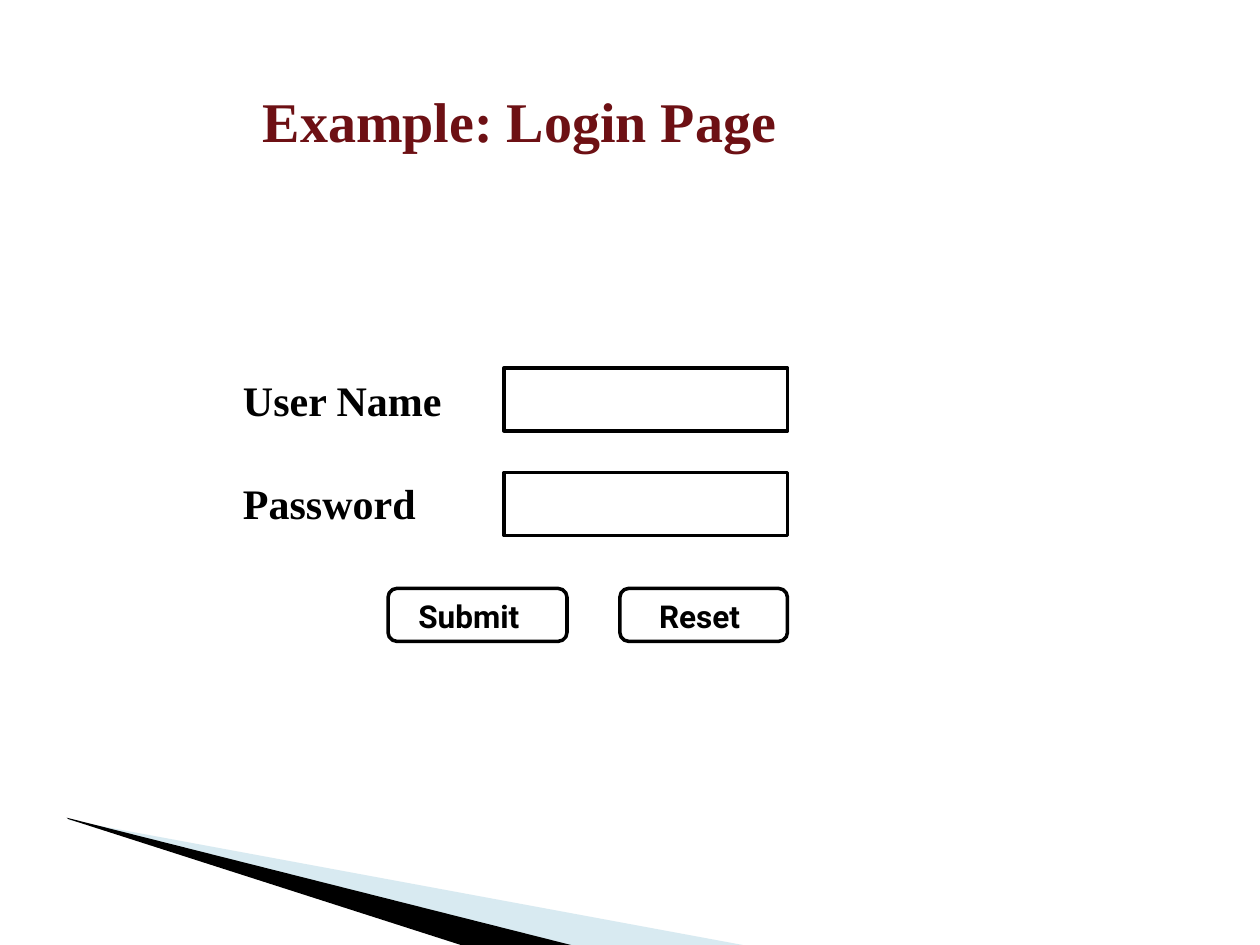
from pptx import Presentation
from pptx.dml.color import RGBColor
from pptx.enum.shapes import MSO_SHAPE as Shape
from pptx.enum.text import MSO_ANCHOR as Anchor, PP_ALIGN as Align
from pptx.oxml.ns import qn
from pptx.util import Inches, Pt
from lxml.etree import SubElement

BLACK = RGBColor(0x00, 0x00, 0x00)
WHITE = RGBColor(0xFF, 0xFF, 0xFF)
MAROON = RGBColor(0x6D, 0x10, 0x14)
PALE = RGBColor(0x9F, 0xCB, 0xDC)
SERIF = "Times New Roman"

deck = Presentation()
deck.slide_width, deck.slide_height = Inches(10), Inches(7.5)
slide = deck.slides.add_slide(deck.slide_layouts[6])
shapes = slide.shapes


def put_text(shape, text, font, size, color, inset=0.1, anchor=Anchor.MIDDLE, align=Align.LEFT):
    frame = shape.text_frame
    frame.word_wrap = True
    frame.vertical_anchor = anchor
    frame.margin_left = Inches(inset)
    para = frame.paragraphs[0]
    para.text = text
    para.alignment = align
    para.font.name = font
    para.font.size = Pt(size)
    para.font.bold = True
    para.font.color.rgb = color


def add_box(kind, left, top, width, height):
    box = shapes.add_shape(kind, Inches(left), Inches(top), Inches(width), Inches(height))
    box.shadow.inherit = False
    box.fill.solid()
    box.fill.fore_color.rgb = WHITE
    box.line.color.rgb = BLACK
    box.line.width = Pt(2)
    return box


wedges = [
    (PALE, 40, [(0.55, 6.51), (5.95, 7.51), (4.56, 7.51), (0.55, 6.5)]),
    (BLACK, 100, [(0.53, 6.49), (4.57, 7.51), (3.72, 7.52), (0.54, 6.5)]),
]
for color, alpha, points in wedges:
    start, *rest = [(Inches(x), Inches(y)) for x, y in points]
    path = shapes.build_freeform(*start)
    path.add_line_segments(rest)
    wedge = path.convert_to_shape()
    wedge.shadow.inherit = False
    wedge.line.fill.background()
    wedge.fill.solid()
    wedge.fill.fore_color.rgb = color
    if alpha < 100:
        tint = wedge.element.spPr.find(qn("a:solidFill"))[0]
        SubElement(tint, qn("a:alpha")).set("val", str(alpha * 1000))

title = shapes.add_textbox(Inches(-0.5), Inches(0.17), Inches(8.25), Inches(1.57))
put_text(title, "Example: Login Page", SERIF, 32, MAROON, inset=1.1, align=Align.CENTER)

for row, label in enumerate(["User Name", "Password"]):
    add_box(Shape.RECTANGLE, 4, 2.92 + row * 0.83, 2.25, 0.5)
    field = shapes.add_textbox(Inches(1.83), Inches(2.68 + row * 0.82), Inches(2.25), Inches(0.98))
    put_text(field, label, SERIF, 24, BLACK)

for label, left, width, inset in [("Submit", 3.08, 1.42, 0.22), ("Reset", 4.92, 1.33, 0.29)]:
    button = add_box(Shape.ROUNDED_RECTANGLE, left, 4.67, width, 0.42)
    put_text(button, label, "Roboto", 18, BLACK, inset, Anchor.TOP)

deck.save("out.pptx")
